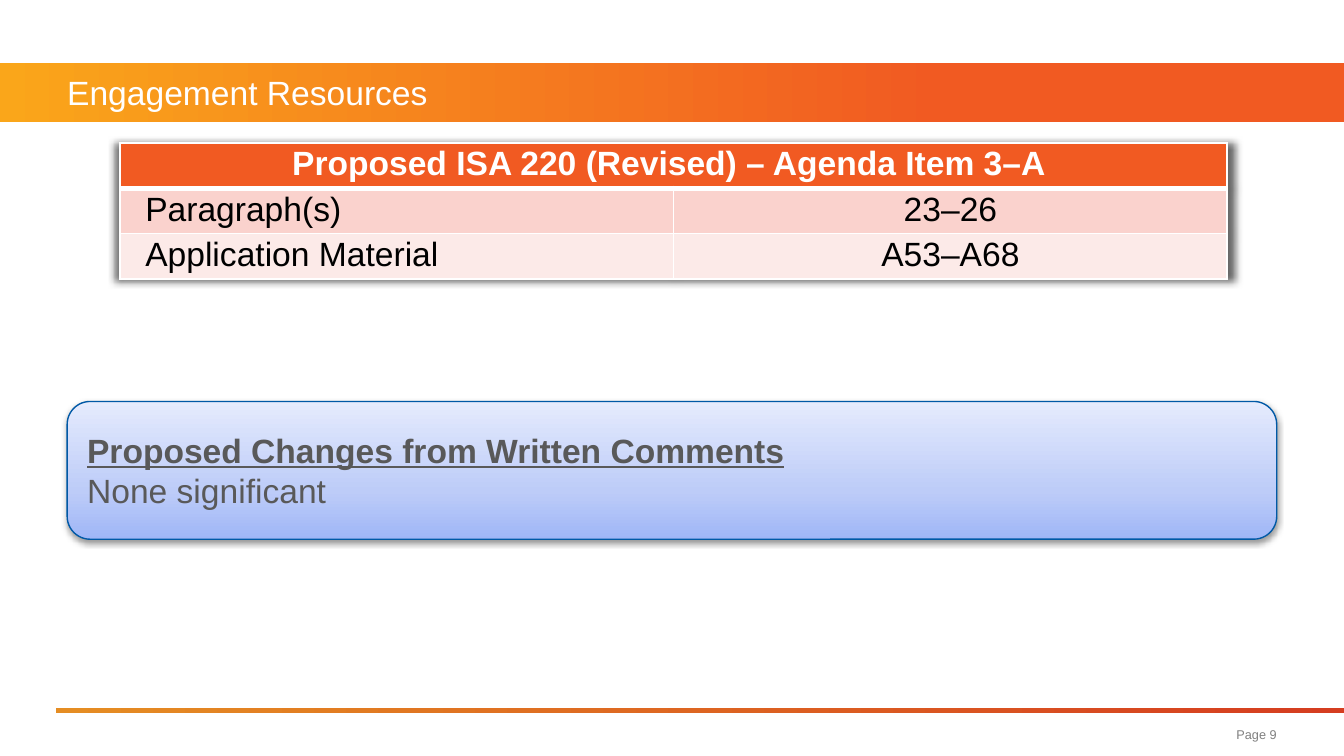
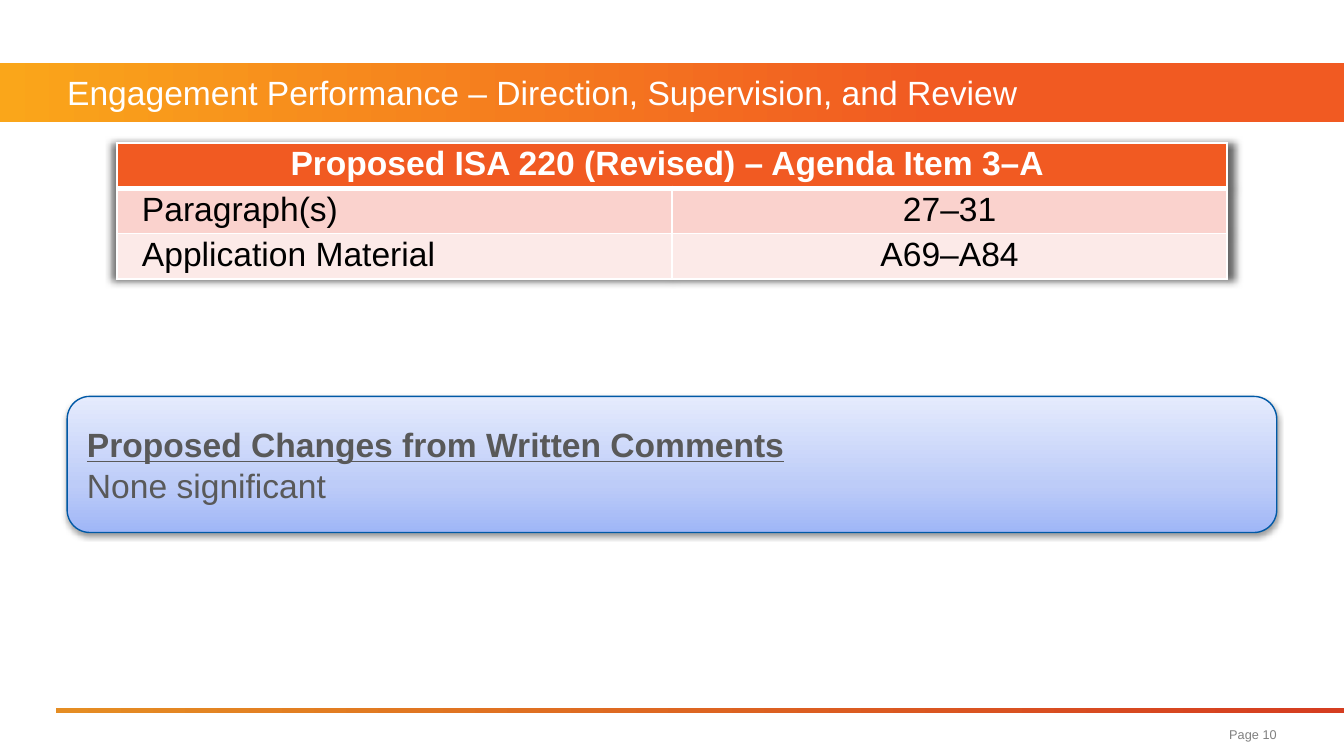
import dataclasses
import typing

import pptx
import pptx.dml.color
import pptx.enum.shapes
import pptx.enum.text
import pptx.oxml
import pptx.oxml.ns
import pptx.util

RGB = pptx.dml.color.RGBColor
KIND = pptx.enum.shapes.MSO_SHAPE
ALIGN = pptx.enum.text.PP_ALIGN
MID = pptx.enum.text.MSO_ANCHOR.MIDDLE
Pt = pptx.util.Pt

WIDE = pptx.util.Inches(10)
HIGH = pptx.util.Inches(5.625)
COLS, ROWS = 160, 90

WHITE = RGB(0xFF, 0xFF, 0xFF)
BLACK = RGB(0, 0, 0)
GOLD = RGB(0xFA, 0xA6, 0x1A)
FLAME = RGB(0xF1, 0x5A, 0x22)
AMBER = RGB(0xE5, 0x8D, 0x23)
RUST = RGB(0xD5, 0x3D, 0x20)
GREY = RGB(0x80, 0x80, 0x80)
SLATE = RGB(0x59, 0x59, 0x59)
ROSE = RGB(0xFA, 0xD2, 0xCD)
BLUSH = RGB(0xFC, 0xEA, 0xE8)
NAVY = RGB(0x00, 0x59, 0xA6)
SKY = RGB(0x9F, 0xB6, 0xF7)
PALE = RGB(0xBD, 0xCC, 0xF8)
MIST = RGB(0xE5, 0xEB, 0xFD)

FONT = {"name": "Arial", "size": Pt(18), "bold": False}
HEAD = FONT | {"bold": True}
FOOT = FONT | {"size": Pt(6.8)}
FLUSH = {"margin_left": 0, "margin_top": 0, "margin_right": 0, "margin_bottom": 0,
         "vertical_anchor": MID, "word_wrap": True}
NOTE = {"vertical_anchor": MID, "word_wrap": True}


@dataclasses.dataclass(frozen=True)
class Box:
    x: float
    y: float
    w: float
    h: float

    def rect(self) -> tuple[int, int, int, int]:
        return across(self.x), down(self.y), across(self.w), down(self.h)


@dataclasses.dataclass(frozen=True)
class Fade:
    stops: tuple[tuple[int, RGB], ...]
    angle: int = 0


@dataclasses.dataclass(frozen=True)
class Page:
    title: str
    paras: str
    notes: str
    table: Box
    panel: Box


def across(n: float) -> int:
    return round(WIDE * n / COLS)


def down(n: float) -> int:
    return round(HIGH * n / ROWS)


BAND = Box(0, 7.5, COLS, 7)
RULE = Box(6.7, 84.3, 153.3, 0.6)
TITLE = Box(8, 7.5, 152, 7)
FOOTER = Box(103.7, 85.4, 48.3, 4)
BARS = (
    (BAND, Fade(((0, GOLD), (70, FLAME)))),
    (RULE, Fade(((0, AMBER), (100, RUST)))),
)
GLOW = Fade(((0, SKY), (35, PALE), (100, MIST)), 270)

FIRST = 9
PAGES = (
    Page("Engagement Resources", "23–26", "A53–A68",
         Box(14.3, 17, 131.8, 16.6), Box(8, 47.8, 144, 16.4)),
    Page("Engagement Performance – Direction, Supervision, and Review", "27–31", "A69–A84",
         Box(13.9, 17, 132.2, 16.6), Box(8, 47.2, 144, 16.2)),
)


def put(item: typing.Any, vals: dict[str, typing.Any]) -> None:
    for name, val in vals.items():
        setattr(item, name, val)


def node(text: str) -> typing.Any:
    return pptx.oxml.parse_xml(text.replace(">", f" {pptx.oxml.ns.nsdecls('a')}>", 1))


def shade(blur: float, dist: float, alpha: int, turn: int, scale: int = 100) -> typing.Any:
    return node(
        f'<a:outerShdw blurRad="{Pt(blur)}" dist="{Pt(dist)}" dir="{turn * 60000}" '
        f'sx="{scale * 1000}" sy="{scale * 1000}" algn="ctr" rotWithShape="0">'
        f'<a:srgbClr val="{BLACK}"><a:alpha val="{alpha * 1000}"/></a:srgbClr></a:outerShdw>')


def write(para: typing.Any, text: str, style: dict, ink: RGB, align: typing.Any = ALIGN.LEFT) -> None:
    para.alignment = align
    run = para.add_run()
    run.text = text
    put(run.font, style)
    run.font.color.rgb = ink


def label(slide: typing.Any, box: Box, text: str, style: dict, ink: RGB, align: typing.Any) -> None:
    frame = slide.shapes.add_textbox(*box.rect()).text_frame
    put(frame, FLUSH)
    write(frame.paragraphs[0], text, style, ink, align)


def block(slide: typing.Any, kind: typing.Any, box: Box, fade: Fade) -> typing.Any:
    shape = slide.shapes.add_shape(kind, *box.rect())
    shape.shadow.inherit = False
    shape.line.fill.background()
    shape.fill.background()
    stops = "".join(f'<a:gs pos="{at * 1000}"><a:srgbClr val="{ink}"/></a:gs>'
                    for at, ink in fade.stops)
    props = shape._element.spPr
    props.replace(props.find(pptx.oxml.ns.qn("a:noFill")), node(
        f'<a:gradFill rotWithShape="1"><a:gsLst>{stops}</a:gsLst>'
        f'<a:lin ang="{fade.angle * 60000}" scaled="0"/></a:gradFill>'))
    return shape


def edge(cell: typing.Any, base: float) -> None:
    props = cell._tc.get_or_add_tcPr()
    for i, (side, size) in enumerate(zip("LRTB", (1, 1, 1, base))):
        props.insert(i, node(
            f'<a:ln{side} w="{Pt(size)}"><a:solidFill><a:srgbClr val="{WHITE}"/>'
            f'</a:solidFill></a:ln{side}>'))


def grid(slide: typing.Any, page: Page) -> None:
    data = (
        ("Proposed ISA 220 (Revised) – Agenda Item 3–A", ""),
        ("Paragraph(s)", page.paras),
        ("Application Material", page.notes),
    )
    frame = slide.shapes.add_table(len(data), 2, *page.table.rect())
    table = frame.table
    put(table, {"first_row": False, "horz_banding": False})
    table.cell(0, 0).merge(table.cell(0, 1))
    for col in table.columns:
        col.width = across(page.table.w / 2)
    looks = ((5.4, FLAME), (4.2, ROSE), (4.2, BLUSH))
    for r, (words, (tall, fill)) in enumerate(zip(data, looks)):
        table.rows[r].height = down(tall)
        top = r == 0
        for c, text in enumerate(words):
            cell = table.cell(r, c)
            lead = c == 0 and not top
            put(cell, {"margin_left": across(3 if lead else 0.8),
                       "margin_right": across(1.9 if top else 0.8),
                       "margin_top": down(0.3), "margin_bottom": down(0.3)})
            cell.fill.solid()
            cell.fill.fore_color.rgb = fill
            edge(cell, 3 if top else 1)
            if text:
                write(cell.text_frame.paragraphs[0], text, HEAD if top else FONT,
                      WHITE if top else BLACK, ALIGN.LEFT if lead else ALIGN.CENTER)
    frame.height = down(page.table.h)
    glow = node("<a:effectLst></a:effectLst>")
    glow.append(shade(4, 0, 60, 0, 101))
    table._tbl.tblPr.insert(0, glow)


def panel(slide: typing.Any, box: Box) -> None:
    shape = block(slide, KIND.ROUNDED_RECTANGLE, box, GLOW)
    shape.line.color.rgb = NAVY
    shape.line.width = Pt(0.75)
    shape._element.spPr.find(pptx.oxml.ns.qn("a:effectLst")).append(shade(3.1, 1.6, 38, 90))
    frame = shape.text_frame
    put(frame, NOTE)
    write(frame.paragraphs[0], "Proposed Changes from Written Comments",
          HEAD | {"underline": True}, SLATE)
    write(frame.add_paragraph(), "None significant", FONT, SLATE)


def draw(deck: typing.Any, page: Page, num: int) -> None:
    slide = deck.slides.add_slide(deck.slide_layouts[6])
    for box, fade in BARS:
        block(slide, KIND.RECTANGLE, box, fade)
    label(slide, TITLE, page.title, FONT, WHITE, ALIGN.LEFT)
    label(slide, FOOTER, f"Page {num}", FOOT, GREY, ALIGN.RIGHT)
    grid(slide, page)
    panel(slide, page.panel)


def main() -> None:
    deck = pptx.Presentation()
    put(deck, {"slide_width": WIDE, "slide_height": HIGH})
    for num, page in enumerate(PAGES, FIRST):
        draw(deck, page, num)
    deck.save("out.pptx")


if __name__ == "__main__":
    main()
